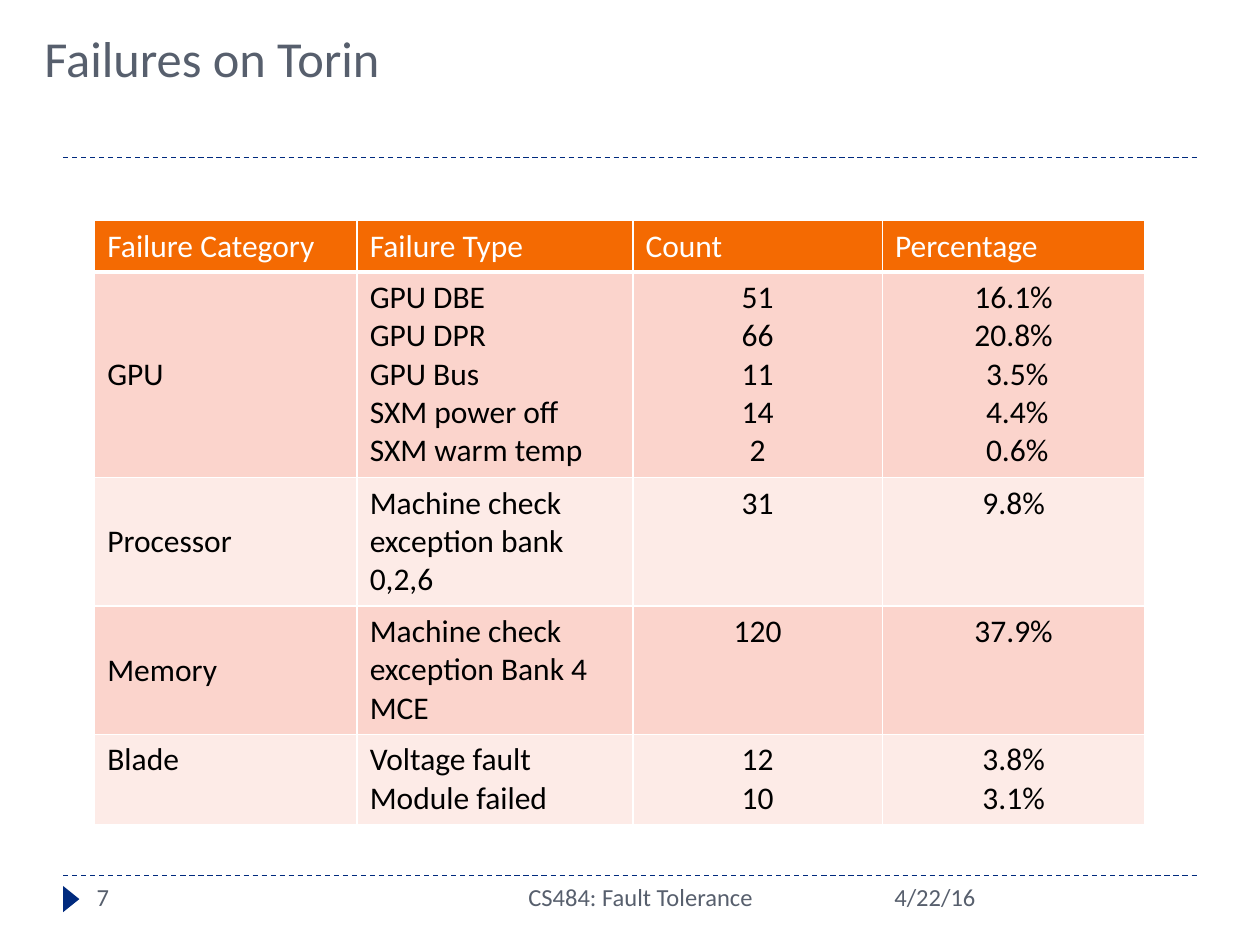
"""Build the slide on failure counts by category."""
import pptx
import pptx.util
import pptx.dml.color
import pptx.enum.dml
import pptx.enum.shapes
import pptx.enum.text
import pptx.oxml.ns
import lxml.etree

Cm, Pt = pptx.util.Cm, pptx.util.Pt
ALIGN, ANCHOR = pptx.enum.text.PP_ALIGN, pptx.enum.text.MSO_ANCHOR
qn = pptx.oxml.ns.qn
FONT, GREY, NAVY = "Calibri", "575F6D", "002A7E"
HEAD, BANDS = "F46A02", ("FBD4CC", "FDEBE7")

title = "Failures on Torin"
heads = ["Failure Category", "Failure Type", "Count", "Percentage"]
groups = [
    ("GPU",
     ["GPU DBE", "GPU DPR", "GPU Bus", "SXM power off", "SXM warm temp"],
     ["51", "66", "11", "14", "2"],
     ["16.1%", "20.8%", " 3.5%", " 4.4%", " 0.6%"]),
    ("Processor", ["Machine check exception bank 0,2,6"], ["31"], ["9.8%"]),
    ("Memory", ["Machine check exception Bank 4 MCE"], ["120"], ["37.9%"]),
    ("Blade", ["Voltage fault", "Module failed"], ["12", "10"], ["3.8%", "3.1%"]),
]
widths = [5.29, 5.56, 5.03, 5.29]
lines = [1, 5, 3, 3, 2]
feet = [
    ("7", 1.7, 5.5, ALIGN.LEFT),
    ("CS484: Fault Tolerance", 8.05, 9.73, ALIGN.CENTER),
    ("4/22/16", 17.78, 6.35, ALIGN.LEFT),
]


def color(code):
    """Turn a hex string into a colour."""
    return pptx.dml.color.RGBColor.from_string(code)


def write(frame, texts, size, code, align=ALIGN.LEFT):
    """Write each text as one paragraph."""
    for i, text in enumerate(texts):
        para = frame.add_paragraph() if i else frame.paragraphs[0]
        para.alignment = align
        run = para.add_run()
        run.text = text
        run.font.name, run.font.size = FONT, Pt(size)
        run.font.bold = False
        run.font.color.rgb = color(code)


def edge(cell, base):
    """Draw white borders on a cell."""
    props = cell._tc.get_or_add_tcPr()
    for i, side in enumerate(("lnL", "lnR", "lnT", "lnB")):
        width = base if side == "lnB" else 1
        line = lxml.etree.Element(qn("a:" + side), w=str(Pt(width)))
        fill = lxml.etree.SubElement(line, qn("a:solidFill"))
        lxml.etree.SubElement(fill, qn("a:srgbClr"), val="FFFFFF")
        props.insert(i, line)


deck = pptx.Presentation()
deck.slide_width, deck.slide_height = Cm(25.4), Cm(19.05)
slide = deck.slides.add_slide(deck.slide_layouts[5])
shapes = slide.shapes

for y in (17.65, 3.17):
    rule = shapes.add_connector(
        pptx.enum.shapes.MSO_CONNECTOR.STRAIGHT, Cm(1.27), Cm(y), Cm(24.13), Cm(y))
    rule.line.color.rgb = color(NAVY)
    rule.line.width = Pt(0.75)
    rule.line.dash_style = pptx.enum.dml.MSO_LINE.DASH
    lxml.etree.SubElement(rule._element.spPr, qn("a:effectLst"))

mark = shapes.add_shape(
    pptx.enum.shapes.MSO_SHAPE.ISOSCELES_TRIANGLE, Cm(1.17), Cm(17.96), Cm(0.53), Cm(0.33))
mark.rotation = 90
mark.shadow.inherit = False
mark.fill.solid()
mark.fill.fore_color.rgb = color(NAVY)
mark.line.fill.background()

head = shapes.title
head.left, head.top, head.width, head.height = Cm(0.64), Cm(0.53), Cm(22.86), Cm(1.37)
head.text_frame.vertical_anchor = ANCHOR.BOTTOM
head.text_frame.auto_size = pptx.enum.text.MSO_AUTO_SIZE.NONE
write(head.text_frame, [title], 28.8, GREY)

rows = [[[text] for text in heads]] + [[[name], *rest] for name, *rest in groups]
high = [0.25 + 0.78 * n for n in lines]
table = shapes.add_table(
    len(rows), len(heads), Cm(1.91), Cm(4.45), Cm(sum(widths)), Cm(sum(high))).table
for col, width in zip(table.columns, widths):
    col.width = Cm(width)
for r, row in enumerate(rows):
    table.rows[r].height = Cm(high[r])
    for c, texts in enumerate(row):
        cell = table.cell(r, c)
        cell.fill.solid()
        cell.fill.fore_color.rgb = color(BANDS[(r - 1) % 2] if r else HEAD)
        edge(cell, 1 if r else 3)
        mid = c == 0 and 0 < r < len(rows) - 1
        cell.vertical_anchor = ANCHOR.MIDDLE if mid else ANCHOR.TOP
        align = ALIGN.CENTER if r and c > 1 else ALIGN.LEFT
        write(cell.text_frame, texts, 18, "000000" if r else "FFFFFF", align)

for text, left, width, align in feet:
    box = shapes.add_textbox(Cm(left), Cm(17.65), Cm(width), Cm(1.02))
    box.text_frame.word_wrap = True
    write(box.text_frame, [text], 14, GREY, align)

deck.save("out.pptx")
